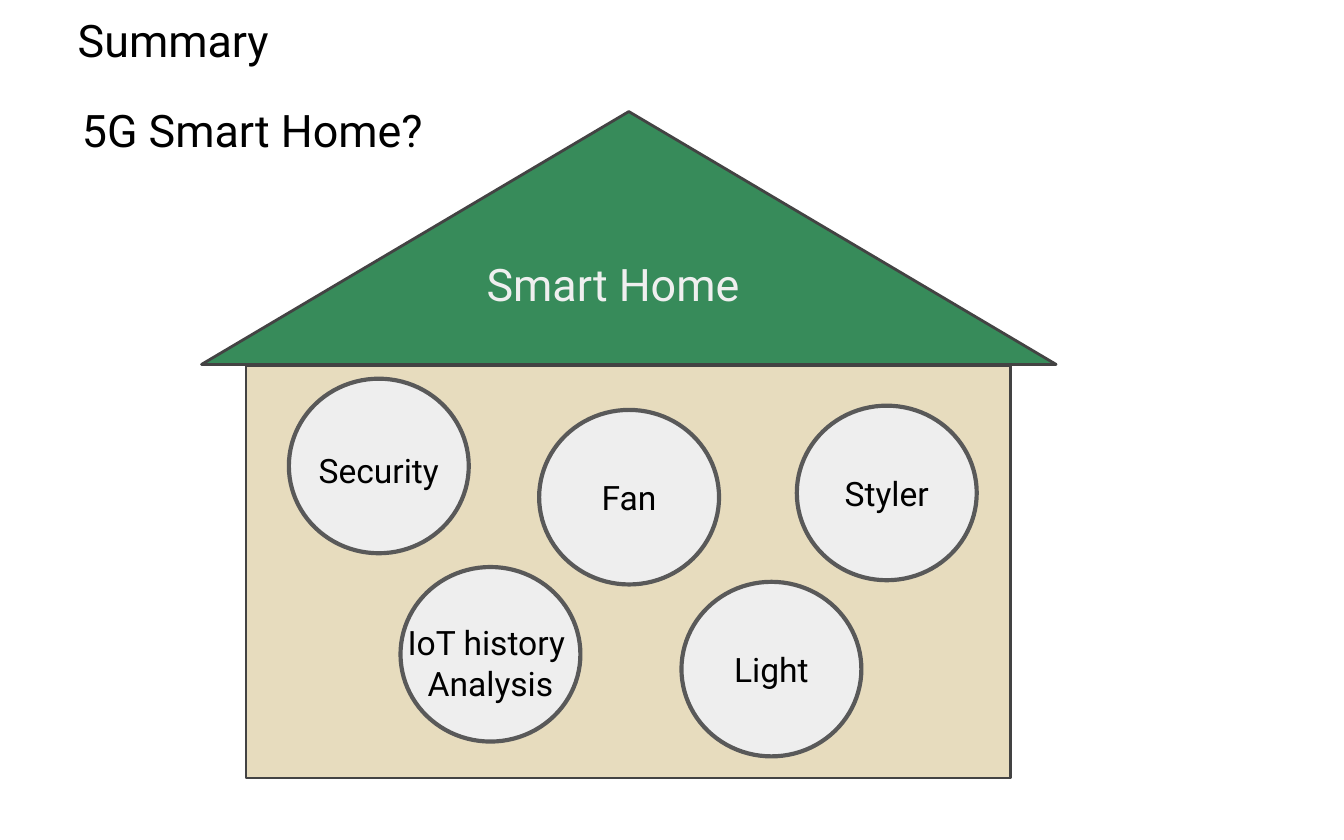
from pptx import Presentation
from pptx.dml.color import RGBColor
from pptx.enum.shapes import MSO_SHAPE as Kind
from pptx.enum.text import MSO_ANCHOR as Anchor, PP_ALIGN as Align
from pptx.util import Cm, Pt

BLACK, PALE = "000000", "EFEFEF"
EDGE, RING = "434343", "595959"
WALL, ROOF, DISC = "E7DCBE", "378B5A", "EEEEEE"

# text, left, top, width
HEADS = [
    ("Summary", 1.22, 0, 23.67),
    ("5G Smart Home?", 1.3, 1.7, 18.54),
]
# lines, circle left, circle top, label drop below circle top, label width
ROOMS = [
    (["Security"], 5.46, 7.16, 1.1, 4.93),
    (["Styler"], 15.06, 7.67, 1.02, 4.24),
    (["IoT history ", "Analysis"], 7.57, 10.72, 1.17, 6.05),
    (["Light"], 12.88, 11, 1.02, 4.24),
    (["Fan"], 10.19, 7.75, 1.02, 4.24),
]
DISC_W, DISC_H = 3.4, 3.3
LABEL_H, HEAD_H = 1.27, 1.7

deck = Presentation()
deck.slide_width, deck.slide_height = Cm(25.4), Cm(15.88)
slide = deck.slides.add_slide(deck.slide_layouts[6])


def color(code):
    return RGBColor.from_string(code)


def draw(kind, box, fill, line, width):
    shape = slide.shapes.add_shape(kind, *map(Cm, box))
    shape.shadow.inherit = False
    shape.fill.solid()
    shape.fill.fore_color.rgb = color(fill)
    shape.line.color.rgb = color(line)
    shape.line.width = Pt(width)


def write(lines, box, size, ink=BLACK, align=Align.CENTER, anchor=Anchor.TOP):
    frame = slide.shapes.add_textbox(*map(Cm, box)).text_frame
    frame.word_wrap = True
    frame.vertical_anchor = anchor
    frame.margin_left = frame.margin_right = Cm(0.25)
    frame.margin_top = frame.margin_bottom = Cm(0.25)
    frame.text = "\n".join(lines)
    for para in frame.paragraphs:
        para.alignment = align
        para.font.name = "Roboto"
        para.font.size = Pt(size)
        para.font.color.rgb = color(ink)


draw(Kind.RECTANGLE, (4.65, 6.91, 14.45, 7.8), WALL, EDGE, 1.5)

for text, left, top, width in HEADS:
    write([text], (left, top, width, HEAD_H), 24, align=Align.LEFT)

for lines, left, top, drop, width in ROOMS:
    draw(Kind.OVAL, (left, top, DISC_W, DISC_H), DISC, RING, 2.25)
    start = left + (DISC_W - width) / 2
    anchor = Anchor.MIDDLE if len(lines) > 1 else Anchor.TOP
    write(lines, (start, top + drop, width, LABEL_H), 18, anchor=anchor)

draw(Kind.ISOSCELES_TRIANGLE, (3.81, 2.11, 16.15, 4.78), ROOF, EDGE, 1.5)
write(["Smart Home"], (8.84, 4.6, 5.49, LABEL_H), 24, PALE)

deck.save("out.pptx")
